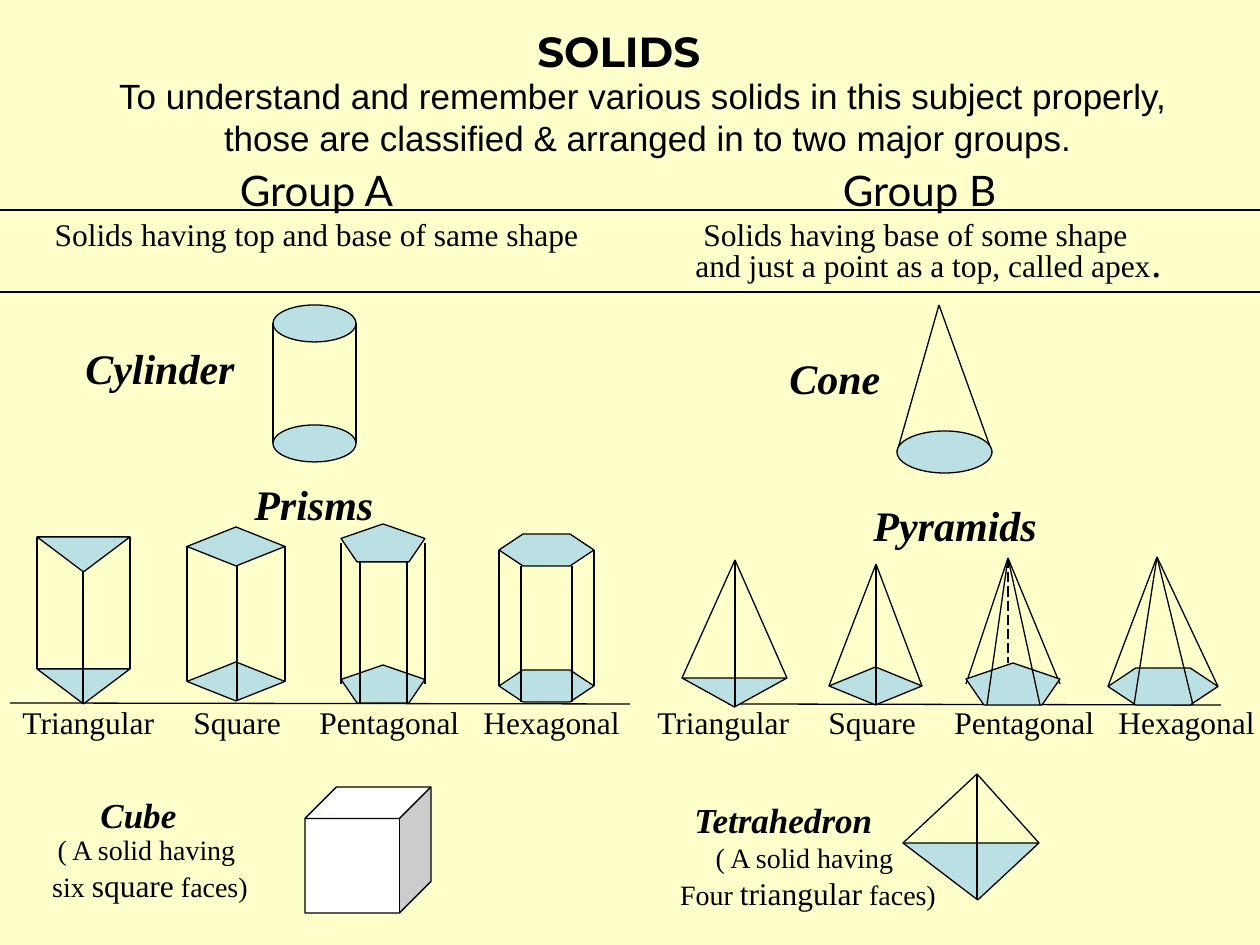
from lxml.etree import SubElement
from pptx import Presentation
from pptx.dml.color import RGBColor as RGB
from pptx.enum.dml import MSO_LINE as Dash
from pptx.enum.shapes import MSO_CONNECTOR as Connector, MSO_SHAPE as Shape
from pptx.enum.text import MSO_AUTO_SIZE as AutoSize, PP_ALIGN as Align
from pptx.oxml.ns import qn
from pptx.util import Pt

PX = 914400 / 126

THEME = {
    "paper": RGB(0xFF, 0xFF, 0xCC),
    "ink": RGB(0, 0, 0),
    "face": RGB(0xBB, 0xE0, 0xE3),
    "white": RGB(0xFF, 0xFF, 0xFF),
    "line": Pt(0.75),
    # style: font, size, bold, italic
    "title": ("Montserrat", 24, True, False),
    "intro": ("Arial", 20, False, False),
    "group": ("Lato", 24, False, False),
    "body": ("Times New Roman", 18, False, False),
    "note": ("Times New Roman", 16, False, False),
    "family": ("Times New Roman", 24, True, True),
    "solid": ("Times New Roman", 20, True, True),
}


def emu(*lengths):
    return [round(length * PX) for length in lengths]


def add_edge(shapes, x1, y1, x2, y2, dashed=False):
    edge = shapes.add_connector(Connector.STRAIGHT, *emu(x1, y1, x2, y2))
    edge.line.color.rgb = THEME["ink"]
    edge.line.width = THEME["line"]
    if dashed:
        edge.line.dash_style = Dash.LONG_DASH
    SubElement(edge._element.spPr, qn("a:effectLst"))


deck = Presentation()
deck.slide_width, deck.slide_height = emu(1260, 945)
page = deck.slides.add_slide(deck.slide_layouts[6])
page.background.fill.solid()
page.background.fill.fore_color.rgb = THEME["paper"]

# Rules across the page and the ground lines under prisms and pyramids
for rule in [(0, 210, 1260, 210), (0, 292, 1260, 292),
             (10, 703, 630, 704), (728, 704, 1221, 705)]:
    add_edge(page.shapes, *rule)

# Solids with equal ends: preset, adjustment, left, top, width, height, drop, front edges
prisms = [
    (Shape.OVAL, None, 273, 305, 83, 37, 120, []),
    (Shape.ISOSCELES_TRIANGLE, 0.5, 37, 537, 93, 35, 132, [83]),
    (Shape.DIAMOND, None, 187, 527, 98, 39, 135, [237]),
    (Shape.REGULAR_PENTAGON, None, 341, 524, 84, 38, 141, [360, 407]),
    (Shape.HEXAGON, 0.75, 499, 534, 95, 32, 136, [521, 572]),
]
# Solids with an apex: preset, adjustment, left, top, width, height, apex, front edges
pyramids = [
    (Shape.OVAL, None, 897, 431, 95, 42, (939, 305), []),
    (Shape.ISOSCELES_TRIANGLE, 0.5, 682, 678, 105, 29, (735, 560), [735]),
    (Shape.DIAMOND, None, 829, 667, 93, 38, (876, 564), [876]),
    (Shape.REGULAR_PENTAGON, None, 966, 663, 94, 42, (1008, 558), [987, 1040]),
    (Shape.HEXAGON, 0.75, 1108, 668, 110, 37, (1157, 557), [1134, 1193]),
    (Shape.ISOSCELES_TRIANGLE, 0.55, 903, 843, 136, 57, (977, 774), [977]),
]


def add_face(shapes, preset, adjustment, box, fill="face"):
    face = shapes.add_shape(preset, *emu(*box))
    face.shadow.inherit = False
    face.fill.solid()
    face.fill.fore_color.rgb = THEME[fill]
    face.line.color.rgb = THEME["ink"]
    face.line.width = THEME["line"]
    if adjustment is not None:
        face.adjustments[0] = adjustment
    if preset == Shape.ISOSCELES_TRIANGLE:
        face._element.spPr.xfrm.set("flipV", "1")


for preset, adjustment, left, top, width, height, drop, fronts in prisms:
    parts = page.shapes.add_group_shape().shapes
    shoulder = top if preset == Shape.ISOSCELES_TRIANGLE else top + height / 2
    add_face(parts, preset, adjustment, (left, top, width, height))
    for x in (left, left + width):
        add_edge(parts, x, shoulder, x, shoulder + drop)
    add_face(parts, preset, adjustment, (left, top + drop, width, height))
    for x in fronts:
        add_edge(parts, x, top + height, x, top + height + drop)

for preset, adjustment, left, top, width, height, apex, fronts in pyramids:
    parts = page.shapes.add_group_shape().shapes
    shoulder = top if preset == Shape.ISOSCELES_TRIANGLE else top + height / 2
    for x in (left, left + width):
        add_edge(parts, *apex, x, shoulder)
    add_face(parts, preset, adjustment, (left, top, width, height))
    for x in fronts:
        add_edge(parts, *apex, x, top + height)
    if preset == Shape.REGULAR_PENTAGON:
        add_edge(parts, *apex, apex[0], top, dashed=True)

add_face(page.shapes, Shape.CUBE, 0.25, (305, 787, 126, 126), "white")

# Each text: box, alignment, paragraphs of (style, spans of (text, own size))
base_names = [("body", [("Triangular\tSquare\tPentagonal\tHexagonal", None)])]
base_tabs = [171, 297, 461]
texts = [
    ((525, 19, 200, 63), Align.LEFT, [("title", [("SOLIDS", None)])]),
    ((103, 68, 1090, 97), Align.CENTER, [
        ("intro", [("To understand and remember various solids in this subject properly, ", None)]),
        ("intro", [("those are classified & arranged in to two major groups.", None)])]),
    ((41, 158, 551, 101), Align.CENTER, [
        ("group", [("Group A", None)]),
        ("body", [("Solids having top and base of same shape", None)])]),
    ((691, 158, 457, 101), Align.CENTER, [
        ("group", [("Group B", None)]),
        ("body", [("Solids having base of some shape ", None)])]),
    ((683, 229, 491, 101), Align.LEFT, [
        ("body", [("and just a point as a top, called apex", None), (".", 24)])]),
    ((73, 336, 190, 63), Align.LEFT, [("family", [("Cylinder", None)])]),
    ((242, 472, 150, 63), Align.LEFT, [("family", [("Prisms", None)])]),
    ((777, 346, 122, 63), Align.LEFT, [("family", [("Cone", None)])]),
    ((861, 493, 195, 63), Align.LEFT, [("family", [("Pyramids", None)])]),
    ((10, 697, 626, 50), Align.LEFT, base_names),
    ((645, 697, 626, 50), Align.LEFT, base_names),
    ((88, 787, 107, 55), Align.LEFT, [("solid", [("Cube", None)])]),
    ((682, 792, 213, 55), Align.LEFT, [("solid", [("Tetrahedron", None)])]),
    ((30, 826, 240, 84), Align.CENTER, [
        ("note", [("( A solid having ", None)]),
        ("note", [("six ", None), ("square", 18), (" faces)", None)])]),
    ((658, 834, 300, 84), Align.CENTER, [
        ("note", [("( A solid having ", None)]),
        ("note", [("Four ", None), ("triangular", 18), (" faces)", None)])]),
]
for place, align, paragraphs in texts:
    frame = page.shapes.add_textbox(*emu(*place)).text_frame
    frame.word_wrap = False
    frame.auto_size = AutoSize.SHAPE_TO_FIT_TEXT
    for index, (style, spans) in enumerate(paragraphs):
        para = frame.add_paragraph() if index else frame.paragraphs[0]
        para.alignment = align
        if paragraphs is base_names:
            tab_list = SubElement(para._p.get_or_add_pPr(), qn("a:tabLst"))
            for position in emu(*base_tabs):
                SubElement(tab_list, qn("a:tab"), pos=str(position), algn="l")
        font = para.font
        font.name, size, font.bold, font.italic = THEME[style]
        font.size = Pt(size)
        font.color.rgb = THEME["ink"]
        for text, own_size in spans:
            span = para.add_run()
            span.text = text
            if own_size:
                span.font.size = Pt(own_size)

deck.save("out.pptx")
